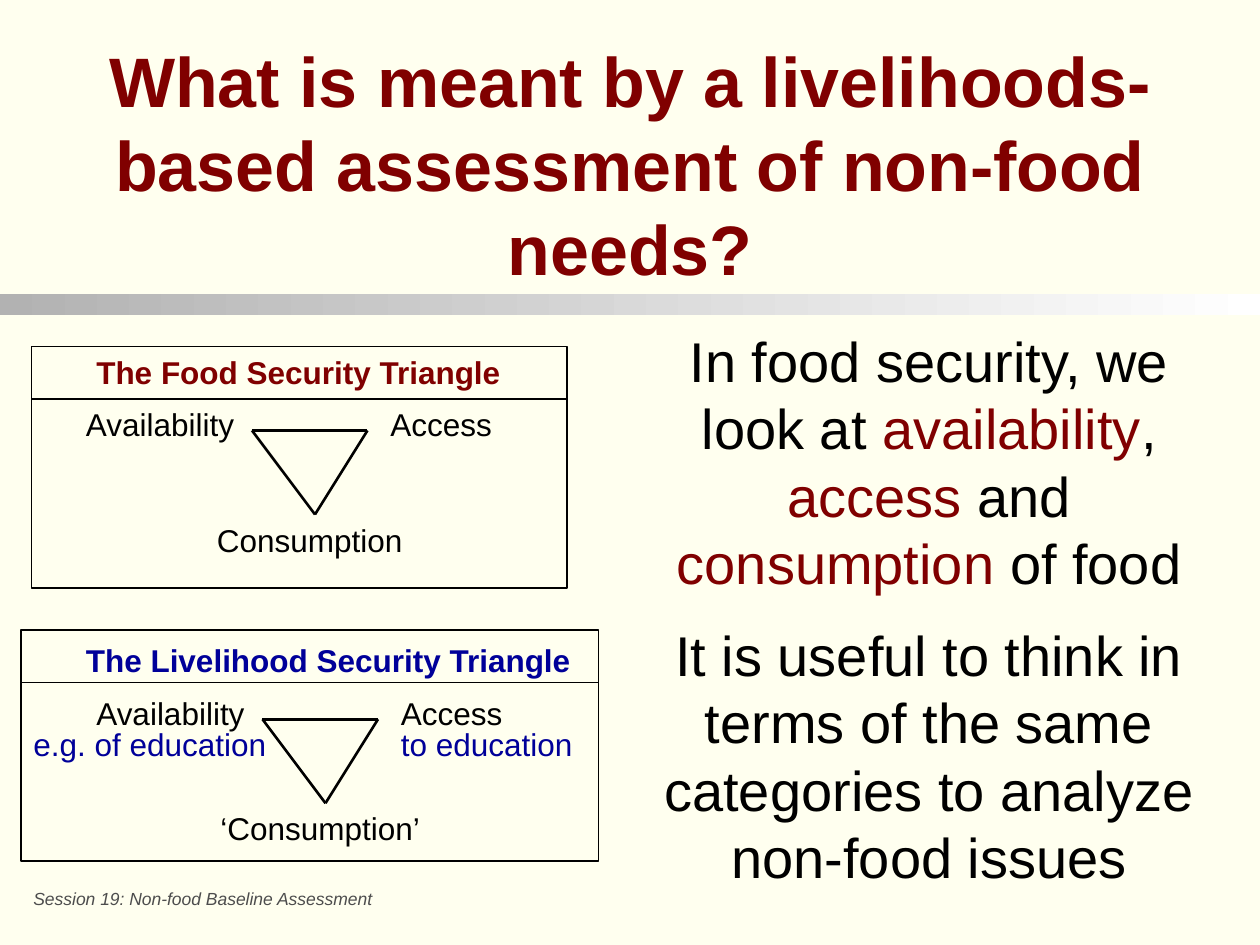
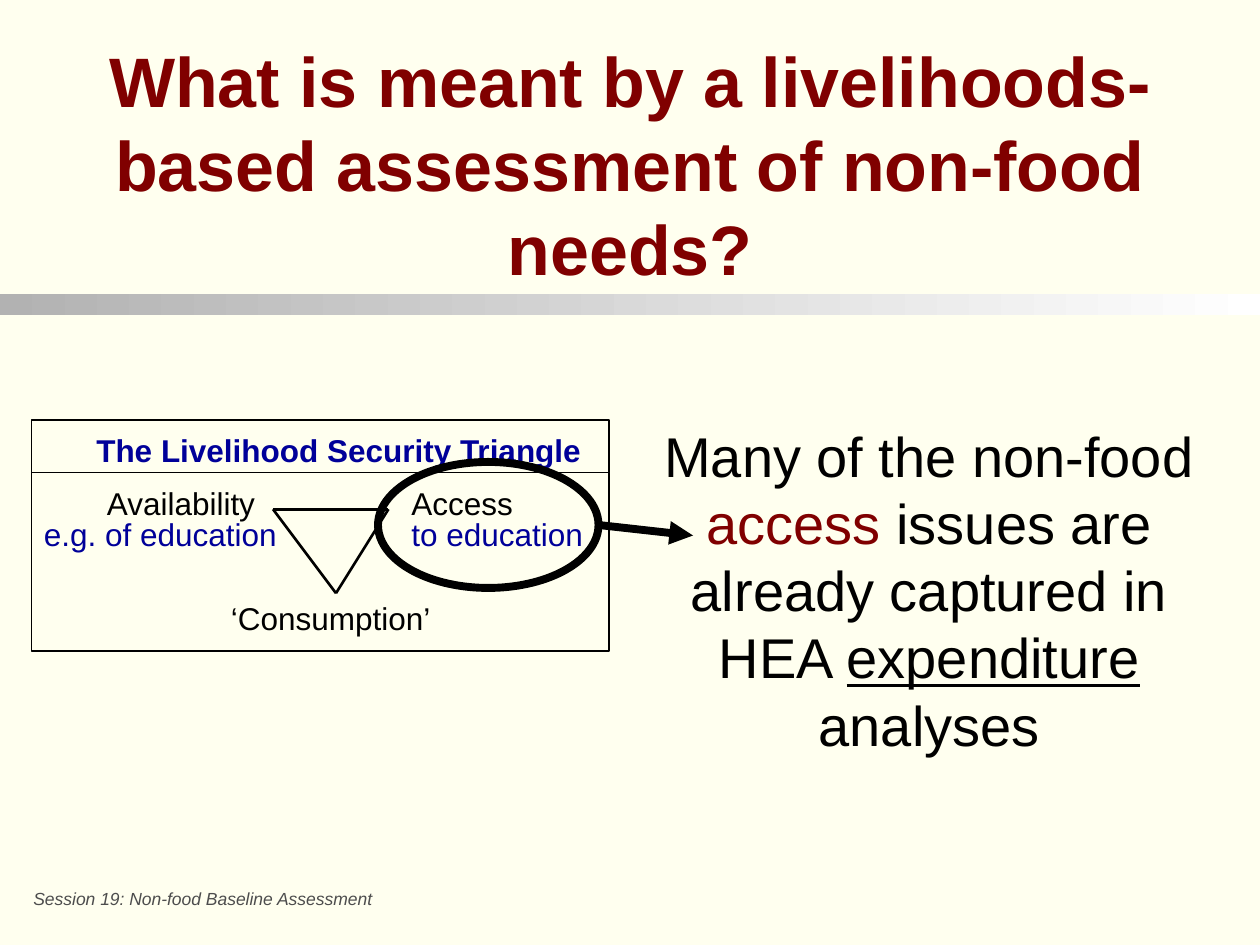
from pptx import Presentation
from pptx import util as u
from pptx.dml.color import RGBColor
from pptx.enum import shapes, text
from pptx.oxml import parse_xml
from pptx.oxml.ns import nsdecls, qn

COLORS = {"paper": "FFFFEF", "maroon": "800000", "blue": "000099", "ink": "000000",
          "footer": "4D4D4D", "band": "B2B2B2", "white": "FFFFFF"}
COLUMNS, ROWS = 120, 90
WIDTH, HEIGHT = u.Inches(10), u.Inches(7.5)
CELL = WIDTH / COLUMNS

TITLE = "What is meant by a livelihoods-based assessment of non-food needs?"
FOOTER = "Session 19: Non-food Baseline Assessment"
FOOD = {
    "heading": "The Food Security Triangle", "color": "maroon", "heading_box": (5, 0, 42),
    "columns": 51, "body_rows": 18, "corner": (21, 8),
    "consumption": "Consumption", "consumption_columns": 21, "examples": (),
}
LIVELIHOOD = {
    "heading": "The Livelihood Security Triangle", "color": "blue", "heading_box": (5, 0.5, 49),
    "columns": 55, "body_rows": 17, "corner": (23, 8.5),
    "consumption": "‘Consumption’", "consumption_columns": 23,
    "examples": (("e.g. of education", -23, 25), ("to education", 12, 21)),
}
SLIDES = [
    {"panels": [(FOOD, 3, 33), (LIVELIHOOD, 2, 60)],
     "messages": [
         ((61, 31, 55, 26),
          [("In food security, we look at ", {}), ("availability", {"color": "maroon"}),
           (", ", {}), ("access", {"color": "maroon"}), (" and ", {}),
           ("consumption", {"color": "maroon"}), (" of food", {})]),
         ((60, 59, 57, 26),
          [("It is useful to think in terms of the same categories to analyze non-food issues",
            {})])]},
    {"panels": [(LIVELIHOOD, 3, 40)],
     "messages": [
         ((61, 40, 55, 32),
          [("Many of the non-food ", {}), ("access", {"color": "maroon"}),
           (" issues are already captured in HEA ", {}), ("expenditure", {"underline": True}),
           (" analyses", {})])],
     "highlight": (36, 44, 21, 12), "arrow": (57, 50, 66, 51)},
]


def cells(*values):
    return [u.Emu(round(value * CELL)) for value in values]


def rgb(name):
    return RGBColor.from_string(COLORS[name])


def write(slide, content, box, size=18, color="ink", bold=False, italic=False,
          centered=False, insets=(0.1, 0.05)):
    frame = slide.shapes.add_textbox(*cells(*box)).text_frame
    frame.word_wrap = True
    frame.margin_left = frame.margin_right = u.Inches(insets[0])
    frame.margin_top = frame.margin_bottom = u.Inches(insets[1])
    paragraph = frame.paragraphs[0]
    paragraph.alignment = text.PP_ALIGN.CENTER if centered else text.PP_ALIGN.LEFT
    for words, changes in [(content, {})] if isinstance(content, str) else content:
        run = paragraph.add_run()
        run.text = words
        run.font.name, run.font.size = "Arial", u.Pt(size)
        run.font.bold, run.font.italic = bold, italic
        run.font.underline = changes.get("underline")
        run.font.color.rgb = rgb(changes.get("color", color))


def outline(slide, preset, box, weight):
    frame = slide.shapes.add_shape(preset, *cells(*box))
    frame.shadow.inherit = False
    frame.fill.background()
    frame.line.color.rgb = rgb("ink")
    frame.line.width = u.Pt(weight)


def draw_line(slide, ends, weight, arrow=False):
    line = slide.shapes.add_connector(shapes.MSO_CONNECTOR.STRAIGHT, *cells(*ends))
    line.line.color.rgb = rgb("ink")
    line.line.width = u.Pt(weight)
    properties = line._element.spPr
    properties.append(parse_xml(f"<a:effectLst {nsdecls('a')}/>"))
    if arrow:
        properties.find(qn("a:ln")).append(
            parse_xml(f"<a:tailEnd {nsdecls('a')} type='triangle'/>"))


def draw_panel(slide, panel, left, top):
    x, y = left + panel["corner"][0], top + panel["corner"][1]
    dx, dy, heading_columns = panel["heading_box"]
    write(slide, panel["heading"], (left + dx, top + dy, heading_columns, 4.8),
          color=panel["color"], bold=True)
    write(slide, "Availability", (x - 17, y - 3, 17, 4.8))
    write(slide, "Access", (x + 12, y - 3, 13, 4.8))
    wide = panel["consumption_columns"]
    write(slide, panel["consumption"], (x + 5.5 - wide / 2, y + 8, wide, 4.8), centered=True)
    corners = [(x, y), (x + 11, y), (x + 6, y + 8)]
    for start, end in zip(corners, corners[1:] + corners[:1]):
        draw_line(slide, start + end, 1.5)
    for example, offset, columns in panel["examples"]:
        write(slide, example, (x + offset, y, columns, 4.8), color=panel["color"])
    for row, rows in ((top + 5, panel["body_rows"]), (top, 5)):
        outline(slide, shapes.MSO_SHAPE.RECTANGLE, (left, row, panel["columns"], rows), 0.75)


def draw_frame(slide):
    slide.background.fill.solid()
    slide.background.fill.fore_color.rgb = rgb("paper")
    band = slide.shapes.add_shape(shapes.MSO_SHAPE.RECTANGLE, *cells(0, 28, COLUMNS, 2))
    band.shadow.inherit = False
    band.line.fill.background()
    band.fill.gradient()
    band.fill.gradient_angle = 0
    for stop, name in zip(band.fill.gradient_stops, ("band", "white")):
        stop.color.rgb = rgb(name)
    write(slide, TITLE, (9, 3, 102, 25.2), size=40, color="maroon", bold=True, centered=True)
    write(slide, FOOTER, (2, 84, 38, 3.2), size=10, color="footer", italic=True)


def main():
    """Build the two slides on livelihoods-based assessment."""
    deck = Presentation()
    deck.slide_width, deck.slide_height = WIDTH, HEIGHT
    for page in SLIDES:
        slide = deck.slides.add_slide(deck.slide_layouts[6])
        draw_frame(slide)
        for panel, left, top in page["panels"]:
            draw_panel(slide, panel, left, top)
        for box, message in page["messages"]:
            write(slide, message, box, size=32, centered=True, insets=(0.02, 0.01))
        if "highlight" in page:
            outline(slide, shapes.MSO_SHAPE.OVAL, page["highlight"], 4.5)
            draw_line(slide, page["arrow"], 4.5, arrow=True)
    deck.save("out.pptx")


if __name__ == "__main__":
    main()
